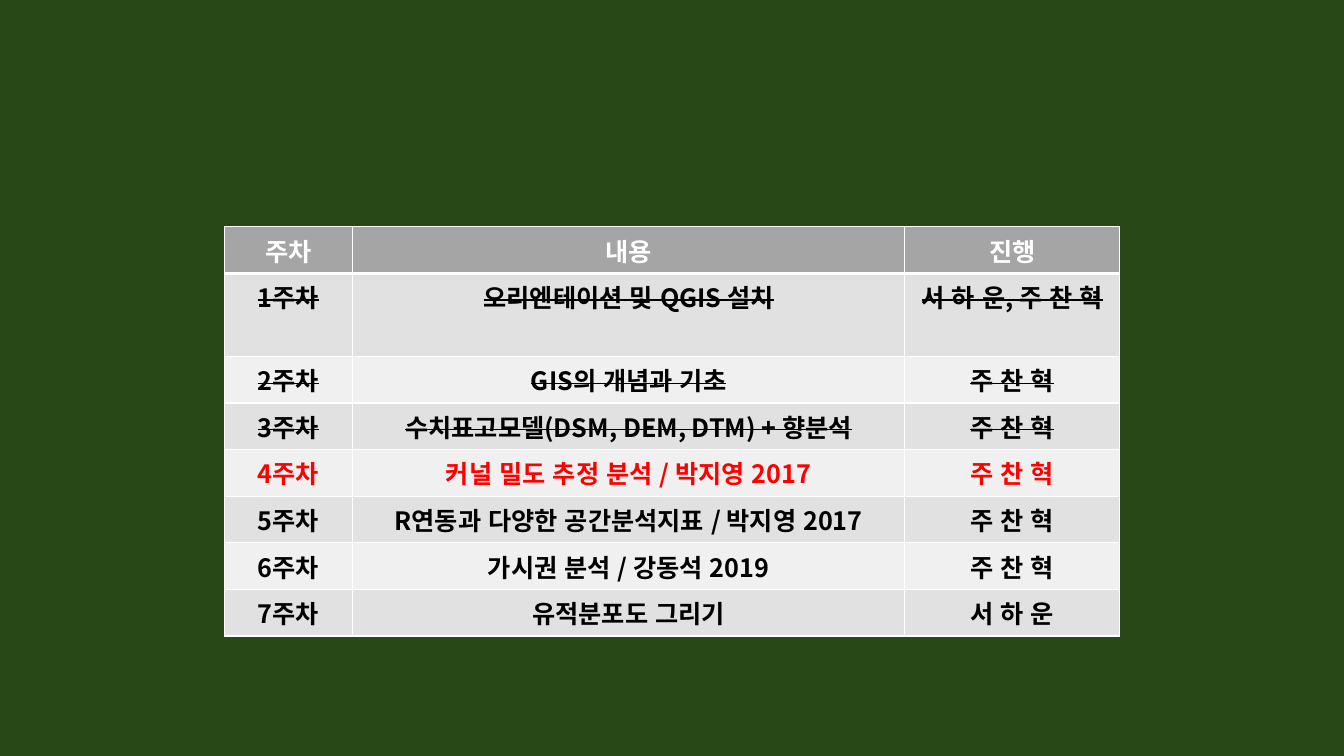
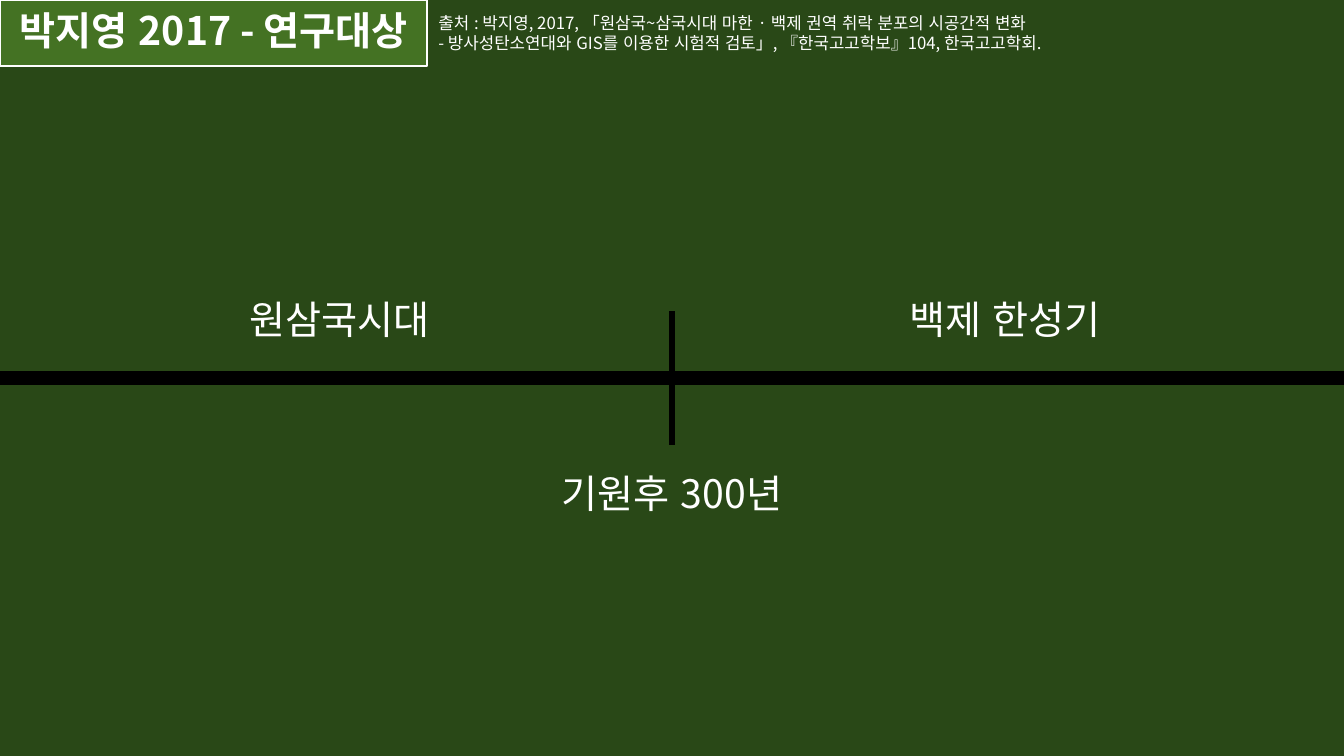
"""Builds the study schedule and the research period slides."""
from dataclasses import dataclass

from lxml.etree import SubElement
from pptx import Presentation
from pptx.dml.color import RGBColor
from pptx.enum.shapes import MSO_CONNECTOR, MSO_SHAPE
from pptx.enum.text import MSO_ANCHOR, MSO_AUTO_SIZE, PP_ALIGN
from pptx.oxml.ns import qn
from pptx.util import Inches, Pt


@dataclass(frozen=True)
class Theme:
    """Colours, font and type sizes of the slides."""
    background: str = "294817"
    title_fill: str = "447223"
    white: str = "FFFFFF"
    black: str = "000000"
    current: str = "FF0000"
    header_fill: str = "A5A5A5"
    band_fills: tuple = ("E1E1E1", "F0F0F0")
    font: str = "Noto Sans CJK KR"
    language: str = "ko-KR"
    heading_size: int = 28
    table_size: int = 18
    source_size: int = 12


@dataclass(frozen=True)
class Box:
    """A region in inches."""
    left: float
    top: float
    width: float
    height: float

    def lengths(self):
        """Return left, top, width and height as slide lengths."""
        return [Inches(value) for value in (self.left, self.top, self.width, self.height)]


THEME = Theme()
PAGE = Box(0, 0, 13.33, 7.5)
COLUMN_WIDTHS = (1.27, 5.48, 2.13)
CELL_MARGIN = 0.15
HEADINGS = ("주차", "내용", "진행")
COMPLETED_WEEKS = 3
CURRENT_WEEK = 4
WEEKS = (
    ("오리엔테이션 및 QGIS 설치", "서 하 운, 주 찬 혁"),
    ("GIS의 개념과 기초", "주 찬 혁"),
    ("수치표고모델(DSM, DEM, DTM) + 향분석", "주 찬 혁"),
    ("커널 밀도 추정 분석 / 박지영 2017", "주 찬 혁"),
    ("R연동과 다양한 공간분석지표 / 박지영 2017", "주 찬 혁"),
    ("가시권 분석 / 강동석 2019", "주 찬 혁"),
    ("유적분포도 그리기", "서 하 운"),
)
TITLE = "박지영 2017 - 연구대상"
SOURCE = (
    "출처 : 박지영, 2017, 「원삼국~삼국시대 마한 · 백제 권역 취락 분포의 시공간적 변화\v"
    "- 방사성탄소연대와 GIS를 이용한 시험적 검토」, 『한국고고학보』104, 한국고고학회."
)


def color(value):
    """Turn a hexadecimal value into a colour."""
    return RGBColor.from_string(value)


def write(frame, text, size, ink=THEME.white, bold=False, align=PP_ALIGN.LEFT, spacing=None, strike=False):
    """Write one styled paragraph into a text frame."""
    paragraph = frame.paragraphs[0]
    paragraph.text = text
    paragraph.alignment = align
    if spacing:
        paragraph.line_spacing = spacing
    font = paragraph.font
    font.size, font.bold, font.name = Pt(size), bold, THEME.font
    font.color.rgb = color(ink)
    properties = paragraph._p.pPr.find(qn("a:defRPr"))
    properties.set("lang", THEME.language)
    properties.set("kern", "0")
    SubElement(properties, qn("a:ea"), typeface=THEME.font)
    if strike:
        properties.set("strike", "sngStrike")


def add_text(slide, box, text, size, **style):
    """Add a wrapping text box that grows with its text."""
    frame = slide.shapes.add_textbox(*box.lengths()).text_frame
    frame.word_wrap = True
    frame.auto_size = MSO_AUTO_SIZE.SHAPE_TO_FIT_TEXT
    write(frame, text, size, **style)


def add_line(slide, start, end, width):
    """Add a straight black line between two points in inches."""
    points = [Inches(value) for value in (*start, *end)]
    line = slide.shapes.add_connector(MSO_CONNECTOR.STRAIGHT, *points)
    line.line.color.rgb = color(THEME.black)
    line.line.width = Pt(width)
    SubElement(line._element.spPr, qn("a:effectLst"))


def add_title(slide, box, text):
    """Add the outlined title band."""
    shape = slide.shapes.add_shape(MSO_SHAPE.RECTANGLE, *box.lengths())
    shape.shadow.inherit = False
    shape.fill.solid()
    shape.fill.fore_color.rgb = color(THEME.title_fill)
    shape.line.color.rgb = color(THEME.white)
    shape.line.width = Pt(1.5)
    shape.text_frame.word_wrap = False
    shape.text_frame.vertical_anchor = MSO_ANCHOR.MIDDLE
    write(shape.text_frame, text, THEME.heading_size, bold=True, align=PP_ALIGN.CENTER, spacing=0.9)


def style_cell(cell, fill, top=1, bottom=1):
    """Give a cell its margins, white borders and a solid fill."""
    cell.margin_left = cell.margin_right = Inches(CELL_MARGIN)
    properties = cell._tc.get_or_add_tcPr()
    for side, width in (("L", 1), ("R", 1), ("T", top), ("B", bottom)):
        border = SubElement(properties, qn(f"a:ln{side}"), w=str(Pt(width)))
        SubElement(SubElement(border, qn("a:solidFill")), qn("a:srgbClr"), val=THEME.white)
    cell.fill.solid()
    cell.fill.fore_color.rgb = color(fill)


def add_schedule(slide, box):
    """Add the weekly table, striking completed weeks and marking the current one."""
    rows = [HEADINGS] + [(f"{week}주차", *entry) for week, entry in enumerate(WEEKS, 1)]
    table = slide.shapes.add_table(len(rows), len(HEADINGS), *box.lengths()).table
    table.first_row = table.horz_banding = False
    for column, width in zip(table.columns, COLUMN_WIDTHS):
        column.width = Inches(width)
    for week, texts in enumerate(rows):
        header = week == 0
        fill = THEME.header_fill if header else THEME.band_fills[(week - 1) % 2]
        ink = THEME.white if header else THEME.current if week == CURRENT_WEEK else THEME.black
        for cell, text in zip(table.rows[week].cells, texts):
            style_cell(cell, fill, top=3 if week == 1 else 1, bottom=3 if header else 1)
            write(cell.text_frame, text, THEME.table_size, ink, bold=True, align=PP_ALIGN.CENTER,
                  strike=1 <= week <= COMPLETED_WEEKS)


def add_timeline(slide, box):
    """Add the time axis with its dividing year and the two periods."""
    center = box.left + box.width / 2
    middle = box.top + box.height / 2
    add_line(slide, (box.left, middle), (box.left + box.width, middle), 10)
    add_line(slide, (center, middle - 0.66), (center, middle + 0.66), 5)
    labels = (
        ("기원후 300년", 0, 0.62, 10.44),
        ("원삼국시대", -3.3, -1.1, 5.36),
        ("백제 한성기", 3.3, -1.1, 5.36),
    )
    for text, across, down, width in labels:
        label_box = Box(center + across - width / 2, middle + down, width, 0.73)
        add_text(slide, label_box, text, THEME.heading_size, align=PP_ALIGN.CENTER, spacing=1.5)


def build_schedule_slide(slide):
    """Build the schedule slide."""
    width = sum(COLUMN_WIDTHS)
    add_schedule(slide, Box((PAGE.width - width) / 2, 2.25, width, 0.41 * (len(WEEKS) + 1)))


def build_period_slide(slide):
    """Build the research period slide."""
    add_title(slide, Box(0, 0, 4.24, 0.66), TITLE)
    add_text(slide, Box(4.25, 0.08, 6.36, 0.5), SOURCE, THEME.source_size)
    add_timeline(slide, PAGE)


def main():
    """Create and save the presentation."""
    presentation = Presentation()
    presentation.slide_width = Inches(PAGE.width)
    presentation.slide_height = Inches(PAGE.height)
    background = presentation.slide_master.background.fill
    background.solid()
    background.fore_color.rgb = color(THEME.background)
    for build in (build_schedule_slide, build_period_slide):
        build(presentation.slides.add_slide(presentation.slide_layouts[6]))
    presentation.save("out.pptx")


if __name__ == "__main__":
    main()
